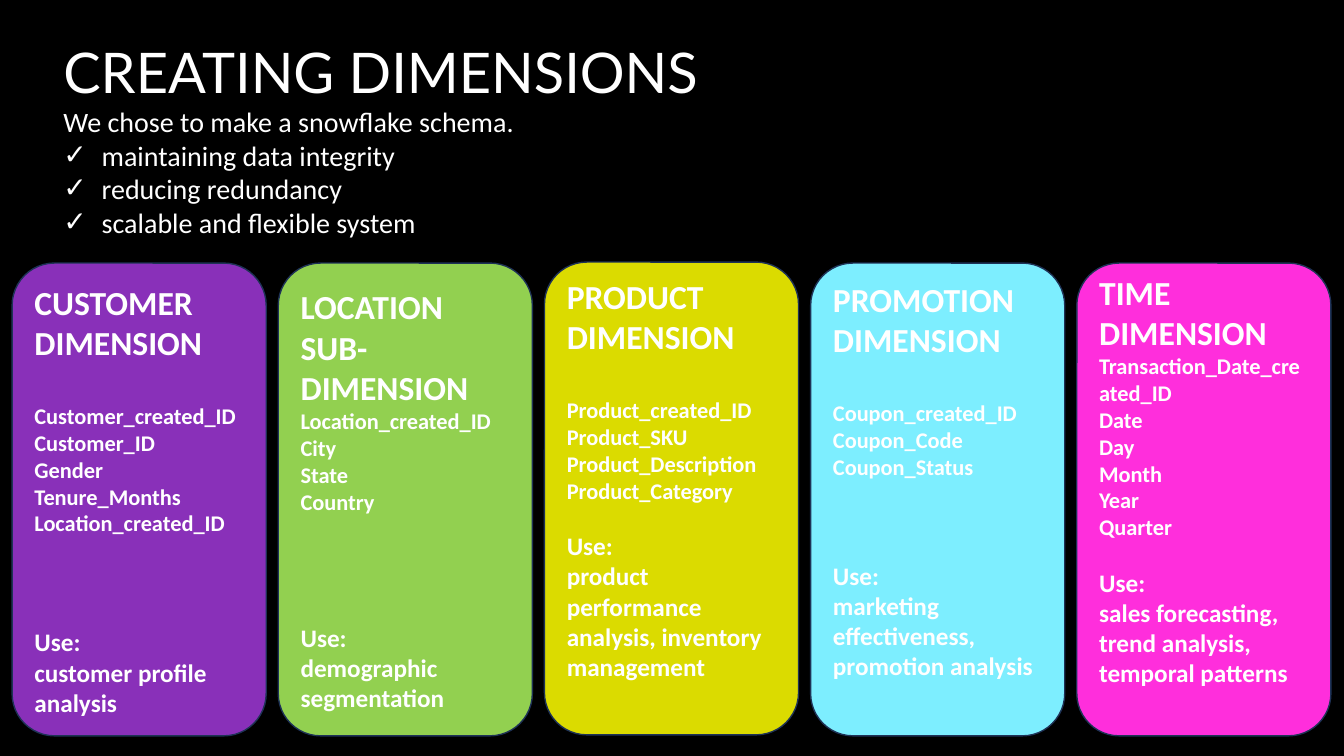
from dataclasses import dataclass

from lxml.etree import SubElement
from pptx import Presentation
from pptx.dml.color import RGBColor
from pptx.enum.shapes import MSO_SHAPE
from pptx.enum.text import MSO_ANCHOR, PP_ALIGN
from pptx.oxml.ns import qn
from pptx.util import Inches, Pt


@dataclass(frozen=True)
class Theme:
    back: str = "000000"
    text: str = "FFFFFF"
    edge: str = "1E3256"
    body: str = "Calibri"
    title: str = "Lato"
    huge: int = 40
    large: int = 24
    lead: int = 20
    use: int = 18
    field: int = 16


@dataclass(frozen=True)
class Card:
    fill: str
    title: tuple[str, ...]
    fields: tuple[str, ...]
    use: tuple[str, ...]
    gap: float
    drop: float
    foot: float = 0.44
    top: float = 2.61
    alpha: int = 100


THEME = Theme()
LEFT, STEP, WIDTH, HEIGHT = 0.12, 2.64, 2.52, 4.69

CARDS = (
    Card("B941FA", ("CUSTOMER", "DIMENSION"),
         ("Customer_created_ID", "Customer_ID", "Gender", "Tenure_Months",
          "Location_created_ID"),
         ("Use:", "customer profile analysis"), 28.5, 64.5, foot=0.05,
         alpha=74),
    Card("92D050", ("LOCATION SUB-DIMENSION",),
         ("Location_created_ID", "City", "State", "Country"),
         ("Use:", "demographic", "segmentation"), 0, 76.5, foot=0.05),
    Card("FFFF00", ("PRODUCT", "DIMENSION"),
         ("Product_created_ID", "Product_SKU", "Product_Description",
          "Product_Category"),
         ("Use:", "product", "performance analysis, inventory management"),
         28.5, 19, top=2.6, alpha=86),
    Card("7DEEFF", ("PROMOTION DIMENSION",),
         ("Coupon_created_ID", "Coupon_Code", "Coupon_Status"),
         ("Use:", "marketing", "effectiveness,", "promotion analysis"),
         28.5, 57.5),
    Card("FF2EDC", ("TIME", "DIMENSION"),
         ("Transaction_Date_created_ID", "Date", "Day", "Month", "Year",
          "Quarter"),
         ("Use:", "sales forecasting,", "trend analysis, temporal patterns"),
         0, 19),
)

POINTS = ("maintaining data integrity", "reducing redundancy",
          "scalable and flexible system")


def apply(item: object, form: dict[str, object]) -> None:
    for name, value in form.items():
        setattr(item, name, value)


def add_line(frame, text: str, size: int, font: str = THEME.body,
             bold: bool = False, gap: float = 0, mark: str = "") -> None:
    first = frame.paragraphs[0]
    para = first if not first.runs else frame.add_paragraph()
    if mark:
        props = para._p.get_or_add_pPr()
        indent = Inches(0.38)
        props.set("marL", str(int(indent)))
        props.set("indent", str(-int(indent)))
        SubElement(props, qn("a:buFont"), typeface=font)
        SubElement(props, qn("a:buChar"), char=mark)
    run = para.add_run()
    run.text = text
    apply(para, {"alignment": PP_ALIGN.LEFT})
    if gap:
        apply(para, {"space_before": Pt(gap)})
    apply(run.font, {"size": Pt(size), "name": font, "bold": bold})
    run.font.color.rgb = RGBColor.from_string(THEME.text)


def add_card(slide, card: Card, left: float) -> None:
    shape = slide.shapes.add_shape(
        MSO_SHAPE.ROUNDED_RECTANGLE, Inches(left), Inches(card.top),
        Inches(WIDTH), Inches(HEIGHT))
    shape.shadow.inherit = False
    shape.fill.solid()
    shape.fill.fore_color.rgb = RGBColor.from_string(card.fill)
    if card.alpha < 100:
        tint = shape._element.spPr.find(qn("a:solidFill"))[0]
        SubElement(tint, qn("a:alpha"), val=str(card.alpha * 1000))
    shape.line.color.rgb = RGBColor.from_string(THEME.edge)
    shape.line.width = Pt(1)
    frame = shape.text_frame
    apply(frame, {"word_wrap": True, "vertical_anchor": MSO_ANCHOR.MIDDLE,
                  "margin_bottom": Inches(card.foot)})
    parts = ((card.title, THEME.large, 0),
             (card.fields, THEME.field, card.gap),
             (card.use, THEME.use, card.drop))
    for lines, size, gap in parts:
        for row, text in enumerate(lines):
            add_line(frame, text, size, bold=True, gap=0 if row else gap)


def add_head(slide) -> None:
    box = slide.shapes.add_textbox(
        Inches(0.53), Inches(0.32), Inches(7.22), Inches(2.79))
    frame = box.text_frame
    frame.word_wrap = True
    add_line(frame, "CREATING DIMENSIONS", THEME.huge, THEME.title)
    add_line(frame, "We chose to make a snowflake schema.", THEME.lead)
    for point in POINTS:
        add_line(frame, point, THEME.lead, mark="✓")


def main() -> None:
    deck = Presentation()
    apply(deck, {"slide_width": Inches(13.33), "slide_height": Inches(7.5)})
    slide = deck.slides.add_slide(deck.slide_layouts[6])
    fill = slide.background.fill
    fill.solid()
    fill.fore_color.rgb = RGBColor.from_string(THEME.back)
    for index, card in enumerate(CARDS):
        add_card(slide, card, LEFT + index * STEP)
    add_head(slide)
    deck.save("out.pptx")


if __name__ == "__main__":
    main()
